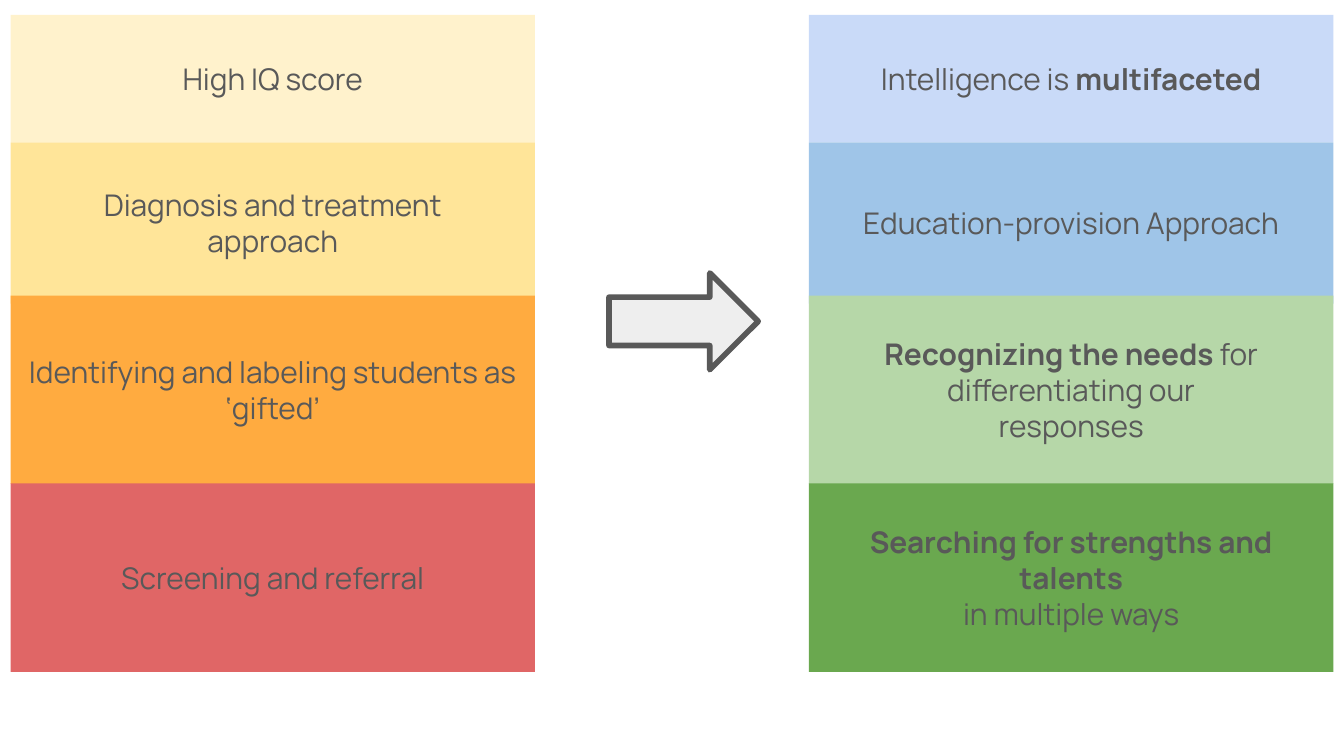
import pptx
import pptx.dml.color
import pptx.enum.shapes
import pptx.enum.text
import pptx.oxml.ns
import pptx.util
from lxml import etree

Cm = pptx.util.Cm
MSO_SHAPE = pptx.enum.shapes.MSO_SHAPE

COLORS = {
    "text": "595959",
    "cream": "FFF2CC",
    "yellow": "FFE599",
    "orange": "FFAB40",
    "red": "E06666",
    "pale_blue": "C9DAF8",
    "blue": "9FC5E8",
    "pale_green": "B6D7A8",
    "green": "6AA84F",
    "arrow": "EEEEEE",
}

ROWS = [(0.28, 2.41), (2.69, 3.05), (5.59, 3.56), (9.14, 3.56)]

TRADITIONAL = [
    ("cream", [[("High IQ score", False)]]),
    ("yellow", [[("Diagnosis and treatment\napproach", False)]]),
    ("orange", [[("Identifying and labeling students as ‘gifted’", False)]]),
    ("red", [[("Screening and referral", False)]]),
]

INCLUSIVE = [
    ("pale_blue", [[("Intelligence is ", False), ("multifaceted", True)]]),
    ("blue", [[("Education-provision Approach", False)]]),
    ("pale_green", [
        [("Recognizing the needs", True), (" for differentiating our", False)],
        [("responses", False)],
    ]),
    ("green", [[("Searching for strengths and talents\n", True), ("in multiple ways", False)]]),
]


def rgb(name):
    return pptx.dml.color.RGBColor.from_string(COLORS[name])


def write_text(p, text, font="Manrope", size=16, color="text", bold=False):
    for i, line in enumerate(text.split("\n")):
        if i:
            p.add_line_break()
        if line:
            r = p.add_run()
            r.text = line
            r.font.name = font
            r.font.size = pptx.util.Pt(size)
            r.font.bold = bold
            r.font.color.rgb = rgb(color)


class Deck:
    """Holds the text style and the slide being drawn."""

    def __init__(self, s, **style):
        self.s = s
        self.style = style

    def shape(self, kind, x, y, w, h, fill):
        sp = self.s.shapes.add_shape(kind, Cm(x), Cm(y), Cm(w), Cm(h))
        sp.shadow.inherit = False
        sp.fill.solid()
        sp.fill.fore_color.rgb = rgb(fill)
        sp.line.fill.background()
        return sp

    def box(self, x, y, w, h, fill, paragraphs):
        tf = self.shape(MSO_SHAPE.RECTANGLE, x, y, w, h, fill).text_frame
        tf.word_wrap = True
        tf.vertical_anchor = pptx.enum.text.MSO_ANCHOR.MIDDLE
        tf.margin_left = tf.margin_right = tf.margin_top = tf.margin_bottom = Cm(0.25)
        for i, runs in enumerate(paragraphs):
            p = tf.add_paragraph() if i else tf.paragraphs[0]
            p.alignment = pptx.enum.text.PP_ALIGN.CENTER
            for text, bold in runs:
                write_text(p, text, bold=bold, **self.style)

    def column(self, x, w, items):
        for (y, h), (fill, paragraphs) in zip(ROWS, items):
            self.box(x, y, w, h, fill, paragraphs)

    def arrow(self, x, y, w, h):
        sp = self.shape(MSO_SHAPE.RIGHT_ARROW, x, y, w, h, "arrow")
        sp.line.color.rgb = rgb("text")
        sp.line.width = pptx.util.Pt(3)
        ln = sp.line._get_or_add_ln()
        etree.SubElement(ln, pptx.oxml.ns.qn("a:round"))


def main():
    prs = pptx.Presentation()
    prs.slide_width, prs.slide_height = Cm(25.4), Cm(14.29)
    s = prs.slides.add_slide(prs.slide_layouts[6])
    deck = Deck(s, font="Manrope", size=16, color="text")
    deck.column(0.2, 9.91, TRADITIONAL)
    deck.column(15.29, 9.91, INCLUSIVE)
    deck.arrow(11.51, 5.16, 2.82, 1.83)
    prs.save("out.pptx")


if __name__ == "__main__":
    main()
